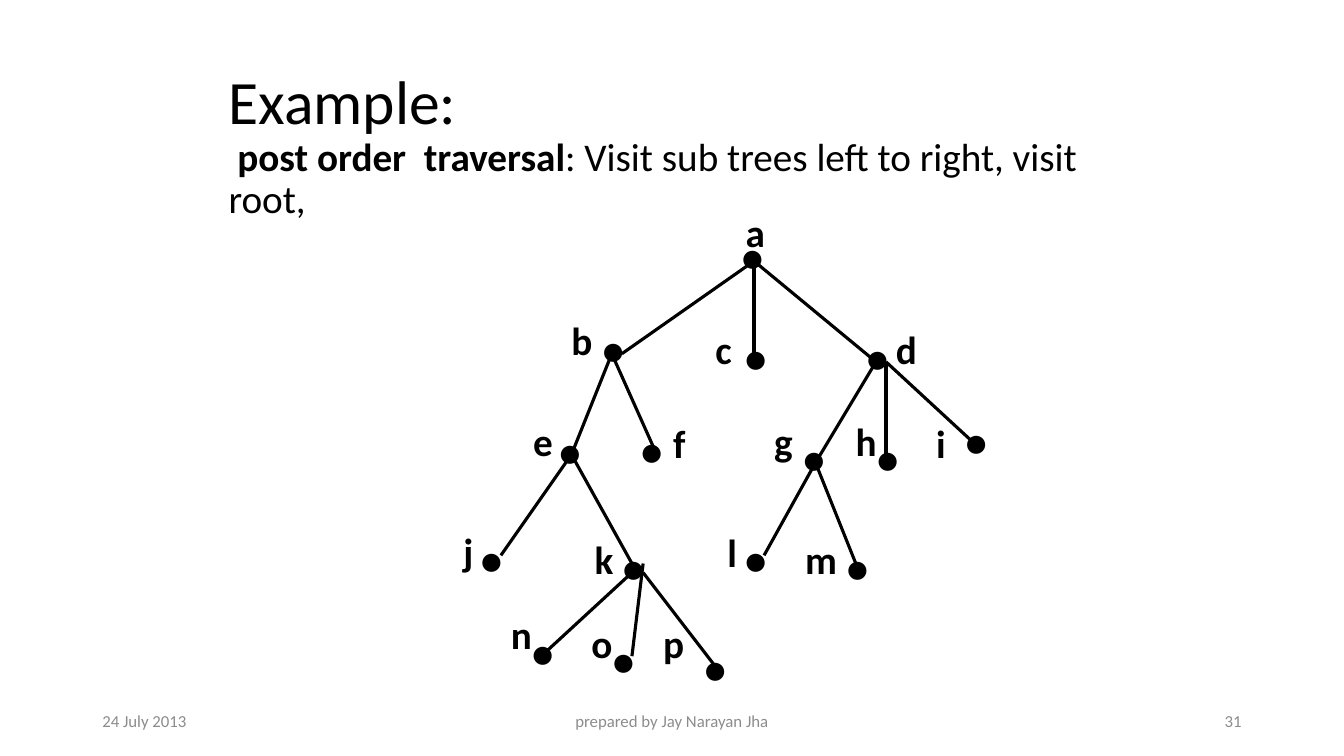
from dataclasses import dataclass

from lxml import etree
from pptx import Presentation
from pptx.dml.color import RGBColor
from pptx.enum.shapes import MSO_CONNECTOR
from pptx.enum.text import MSO_ANCHOR, PP_ALIGN
from pptx.oxml.ns import qn
from pptx.slide import Slide
from pptx.text.text import TextFrame, _Paragraph
from pptx.util import Pt

STRAIGHT = MSO_CONNECTOR.STRAIGHT
TOP, MIDDLE = MSO_ANCHOR.TOP, MSO_ANCHOR.MIDDLE
LEFT, CENTER, RIGHT = PP_ALIGN.LEFT, PP_ALIGN.CENTER, PP_ALIGN.RIGHT
BLANK_LAYOUT = 6


@dataclass(frozen=True)
class Theme:
    font: str = "Calibri"
    ink: RGBColor = RGBColor(0x00, 0x00, 0x00)
    muted: RGBColor = RGBColor(0x8C, 0x8C, 0x8C)
    title_size: float = 44
    body_size: float = 28
    footer_size: float = 12
    branch_width: float = 2.25


THEME = Theme()


@dataclass(frozen=True)
class Box:
    left: float
    top: float
    width: float
    height: float


@dataclass(frozen=True)
class Branch:
    start: tuple[float, float]
    end: tuple[float, float]


@dataclass(frozen=True)
class Node:
    letter: str
    letter_at: tuple[float, float]
    letter_width: float
    dot_at: tuple[float, float]
    branch: Branch | None = None


@dataclass(frozen=True)
class FooterItem:
    text: str
    box: Box
    align: PP_ALIGN


DOT = "●"
DOT_WIDTH = 31.7
LETTER_HEIGHT = 41

HEADING_BOX = Box(156.2, 21.6, 653.8, 482.4)
HEADING_INSET = 29
HEADING_SPACING = 0.9

UNDER_A = (538.6, 186.5)
UNDER_B = (437, 252.7)
UNDER_D = (625.7, 258.5)
RIGHT_OF_D = (632.9, 258.5)
UNDER_E = (408.2, 324.7)
UNDER_G = (582.5, 330.5)

NODES = (
    Node("a", (525.6, 145.4), 28.8, (522, 162.7)),
    Node("b", (401, 222.5), 29.5, (422.6, 229), Branch(UNDER_A, (444.2, 252.7))),
    Node("c", (504, 229), 26.6, (524.2, 234.7), Branch(UNDER_A, (538.6, 258.5))),
    Node("d", (632.9, 229), 29.5, (611.3, 234.7), Branch(UNDER_A, UNDER_D)),
    Node("e", (373.7, 294.5), 28.8, (391.7, 301.7), Branch(UNDER_B, UNDER_E)),
    Node("f", (473.8, 295.9), 23.8, (450, 301), Branch(UNDER_B, (466.6, 319))),
    Node("g", (545.8, 294.5), 28.1, (565.9, 306.7), Branch(UNDER_D, UNDER_G)),
    Node("h", (604.1, 294.5), 29.5, (618.5, 306.7), Branch(RIGHT_OF_D, (632.9, 330.5))),
    Node("i", (661.7, 295.9), 21.6, (681.8, 294.5), Branch(RIGHT_OF_D, (698.4, 319))),
    Node("j", (324, 373), 21.6, (335.5, 378.7), Branch(UNDER_E, (357.8, 396.7))),
    Node("k", (417.6, 378.7), 28.1, (437, 384.5), Branch(UNDER_E, (451.4, 402.5))),
    Node("l", (512.6, 373.7), 21.6, (524.2, 378.7), Branch(UNDER_G, (545.8, 396.7))),
    Node("m", (568.1, 378.7), 37.4, (596.9, 384.5), Branch(UNDER_G, (611.3, 402.5))),
    Node("n", (357.8, 432.7), 29.5, (372.2, 445), Branch((451.4, 409), (386.6, 468.7))),
    Node("o", (415.4, 438.5), 29.5, (429.8, 450.7), Branch((459.4, 402.5), (451.4, 468.7))),
    Node("p", (466.6, 438.5), 29.5, (495.4, 456.5), Branch((459.4, 409), (509.8, 474.5))),
)

FOOTER = (
    FooterItem("24 July 2013", Box(66, 500.5, 216, 28.8), LEFT),
    FooterItem("prepared by Jay Narayan Jha", Box(318, 500.5, 324, 28.8), CENTER),
    FooterItem("31", Box(678, 500.5, 216, 28.8), RIGHT),
)


def add_frame(slide: Slide, box: Box, anchor: MSO_ANCHOR, wrap: bool) -> TextFrame:
    frame = slide.shapes.add_textbox(
        Pt(box.left), Pt(box.top), Pt(box.width), Pt(box.height)
    ).text_frame
    frame.word_wrap = wrap
    frame.vertical_anchor = anchor
    return frame


def add_run(
    paragraph: _Paragraph,
    text: str,
    size: float,
    color: RGBColor = THEME.ink,
    bold: bool = False,
) -> None:
    run = paragraph.add_run()
    run.text = text
    run.font.name = THEME.font
    run.font.size = Pt(size)
    run.font.bold = bold
    run.font.color.rgb = color


def draw_heading(slide: Slide) -> None:
    frame = add_frame(slide, HEADING_BOX, TOP, True)
    frame.margin_top = Pt(HEADING_INSET)
    title = frame.paragraphs[0]
    definition = frame.add_paragraph()
    for paragraph in (title, definition):
        paragraph.line_spacing = HEADING_SPACING
    add_run(title, "Example:", THEME.title_size)
    add_run(definition, " post order  traversal", THEME.body_size, bold=True)
    add_run(definition, ": Visit sub trees left to right, visit root,", THEME.body_size)


def draw_branch(slide: Slide, branch: Branch) -> None:
    connector = slide.shapes.add_connector(
        STRAIGHT, *(Pt(length) for length in (*branch.start, *branch.end))
    )
    connector.line.color.rgb = THEME.ink
    connector.line.width = Pt(THEME.branch_width)
    etree.SubElement(connector._element.spPr, qn("a:effectLst"))


def draw_node(slide: Slide, node: Node) -> None:
    dot_box = Box(*node.dot_at, DOT_WIDTH, LETTER_HEIGHT)
    letter_box = Box(*node.letter_at, node.letter_width, LETTER_HEIGHT)
    for text, box, bold in ((DOT, dot_box, False), (node.letter, letter_box, True)):
        frame = add_frame(slide, box, TOP, False)
        add_run(frame.paragraphs[0], text, THEME.body_size, bold=bold)


def draw_footer_item(slide: Slide, item: FooterItem) -> None:
    paragraph = add_frame(slide, item.box, MIDDLE, True).paragraphs[0]
    paragraph.alignment = item.align
    add_run(paragraph, item.text, THEME.footer_size, THEME.muted)


def main() -> None:
    presentation = Presentation()
    presentation.slide_width = Pt(960)
    presentation.slide_height = Pt(540)
    slide = presentation.slides.add_slide(presentation.slide_layouts[BLANK_LAYOUT])
    draw_heading(slide)
    for node in NODES:
        if node.branch:
            draw_branch(slide, node.branch)
        draw_node(slide, node)
    for item in FOOTER:
        draw_footer_item(slide, item)
    presentation.save("out.pptx")


if __name__ == "__main__":
    main()
